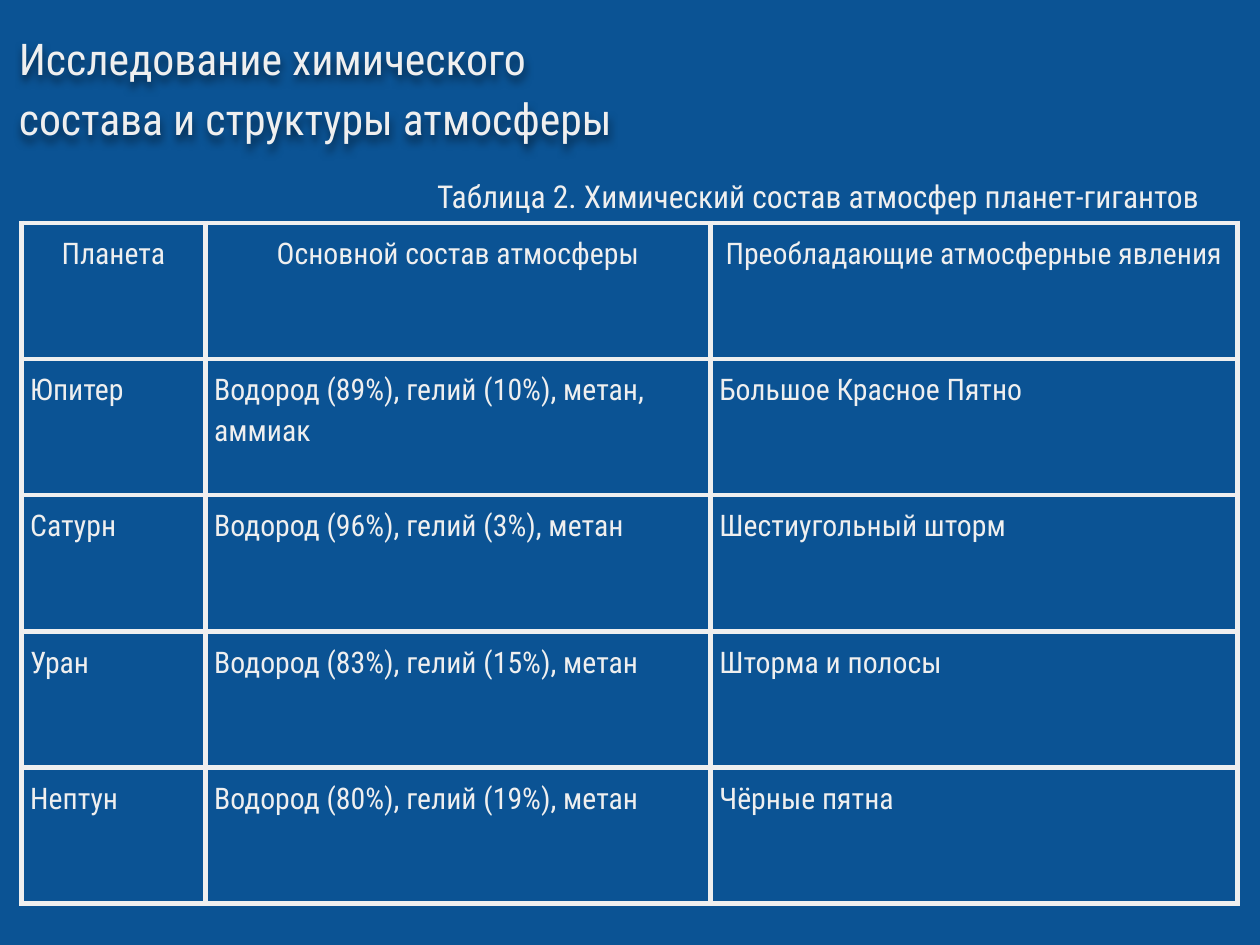
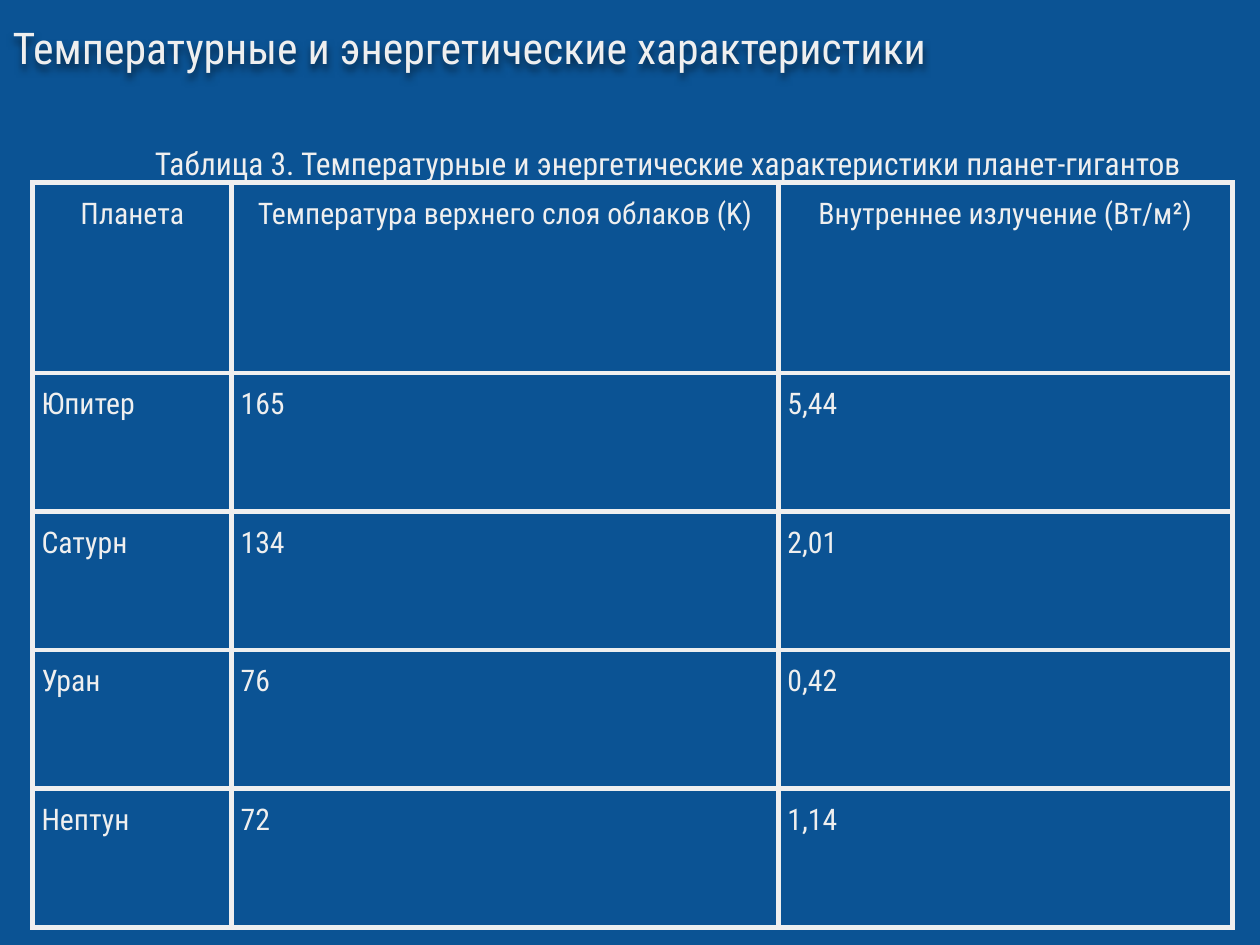
from lxml.etree import SubElement
from pptx import Presentation
from pptx.dml.color import RGBColor
from pptx.enum.text import MSO_ANCHOR, MSO_AUTO_SIZE, PP_ALIGN
from pptx.oxml.ns import qn
from pptx.util import Emu, Pt

PX = 9144  # 100 px to the inch
PLANETS = ("Юпитер", "Сатурн", "Уран", "Нептун")


def px(length):
    return Emu(length * PX)


def color(hex_string):
    return RGBColor.from_string(hex_string)


class Deck:
    BACKGROUND = "0B5394"
    LIGHT = "EFEFEF"
    FONT = "Roboto Condensed"
    LINE_SPACING = 1.15
    BORDER = 3

    def __init__(self):
        self.presentation = Presentation()
        self.presentation.slide_width = px(1000)
        self.presentation.slide_height = px(750)
        fill = self.presentation.slide_master.background.fill
        fill.solid()
        fill.fore_color.rgb = color(self.BACKGROUND)
        self.slide = None

    def add_slide(self):
        title_only = self.presentation.slide_layouts[5]
        self.slide = self.presentation.slides.add_slide(title_only)

    def set_text(self, text_frame, text, size, before=0, after=0, align=PP_ALIGN.LEFT):
        text_frame.text = text
        for paragraph in text_frame.paragraphs:
            paragraph.alignment = align
            paragraph.line_spacing = self.LINE_SPACING
            paragraph.space_before, paragraph.space_after = Pt(before), Pt(after)
            for run in paragraph.runs:
                run.font.name = self.FONT
                run.font.size = Pt(size)
                run.font.color.rgb = color(self.LIGHT)

    def set_margins(self, target, margin):
        target.margin_left = target.margin_right = px(margin)
        target.margin_top = target.margin_bottom = px(margin)

    def frame_text(self, shape):
        text_frame = shape.text_frame
        text_frame.word_wrap = True
        text_frame.auto_size = MSO_AUTO_SIZE.SHAPE_TO_FIT_TEXT
        text_frame.vertical_anchor = MSO_ANCHOR.TOP
        self.set_margins(text_frame, 10)
        return text_frame

    def title(self, text, left, top, width, height):
        shape = self.slide.shapes.title
        shape.left, shape.top = px(left), px(top)
        shape.width, shape.height = px(width), px(height)
        self.set_text(self.frame_text(shape), text, 25, before=14, after=4)
        self.soft_shadow(shape)

    def soft_shadow(self, shape):
        effects = SubElement(shape._element.spPr, qn("a:effectLst"))
        shadow = SubElement(effects, qn("a:outerShdw"), blurRad="57150",
                            dist="38100", dir="5400000", algn="bl", rotWithShape="0")
        black = SubElement(shadow, qn("a:srgbClr"), val="000000")
        SubElement(black, qn("a:alpha"), val="50000")

    def caption(self, text, left, top, width, height):
        shape = self.slide.shapes.add_textbox(px(left), px(top), px(width), px(height))
        self.set_text(self.frame_text(shape), text, 18)

    def table(self, rows, left, top, widths, heights):
        frame = self.slide.shapes.add_table(
            len(rows), len(widths), px(left), px(top), px(sum(widths)), px(sum(heights)))
        table = frame.table
        table.first_row = table.horz_banding = False
        for column, width in zip(table.columns, widths):
            column.width = px(width)
        for row, height in zip(table.rows, heights):
            row.height = px(height)
        for row_index, values in enumerate(rows):
            align = PP_ALIGN.LEFT if row_index else PP_ALIGN.CENTER
            for column_index, value in enumerate(values):
                cell = table.cell(row_index, column_index)
                self.set_margins(cell, 7)
                cell.vertical_anchor = MSO_ANCHOR.TOP
                self.set_text(cell.text_frame, value, 17, before=12, after=12, align=align)
                self.cell_borders(cell)
                cell.fill.background()

    def cell_borders(self, cell):
        properties = cell._tc.get_or_add_tcPr()
        for side in ("a:lnL", "a:lnR", "a:lnT", "a:lnB"):
            line = SubElement(properties, qn(side), w=str(Pt(self.BORDER)))
            fill = SubElement(line, qn("a:solidFill"))
            SubElement(fill, qn("a:srgbClr"), val=self.LIGHT)


def planet_rows(header, first_values, second_values):
    return [("Планета", *header), *zip(PLANETS, first_values, second_values)]


def main():
    deck = Deck()

    # Chemical composition
    deck.add_slide()
    deck.title("Исследование химического состава и структуры атмосферы", 5, 9, 540, 111)
    deck.table(
        planet_rows(
            ("Основной состав атмосферы", "Преобладающие атмосферные явления"),
            ("Водород (89%), гелий (10%), метан, аммиак",
             "Водород (96%), гелий (3%), метан",
             "Водород (83%), гелий (15%), метан",
             "Водород (80%), гелий (19%), метан"),
            ("Большое Красное Пятно", "Шестиугольный шторм",
             "Шторма и полосы", "Чёрные пятна")),
        17, 177, (146, 401, 418), [108] * 5)
    deck.caption("Таблица 2. Химический состав атмосфер планет-гигантов", 337, 126, 755, 50)

    # Temperature and energy
    deck.add_slide()
    deck.title("Температурные и энергетические характеристики", 0, 0, 972, 62)
    deck.table(
        planet_rows(
            ("Температура верхнего слоя облаков (K)", "Внутреннее излучение (Вт/м²)"),
            ("165", "134", "76", "72"),
            ("5,44", "2,01", "0,42", "1,14")),
        26, 145, (158, 434, 360), [151] + [110] * 4)
    deck.caption("Таблица 3. Температурные и энергетические характеристики планет-гигантов",
                 113, 100, 972, 50)

    deck.presentation.save("out.pptx")


if __name__ == "__main__":
    main()
